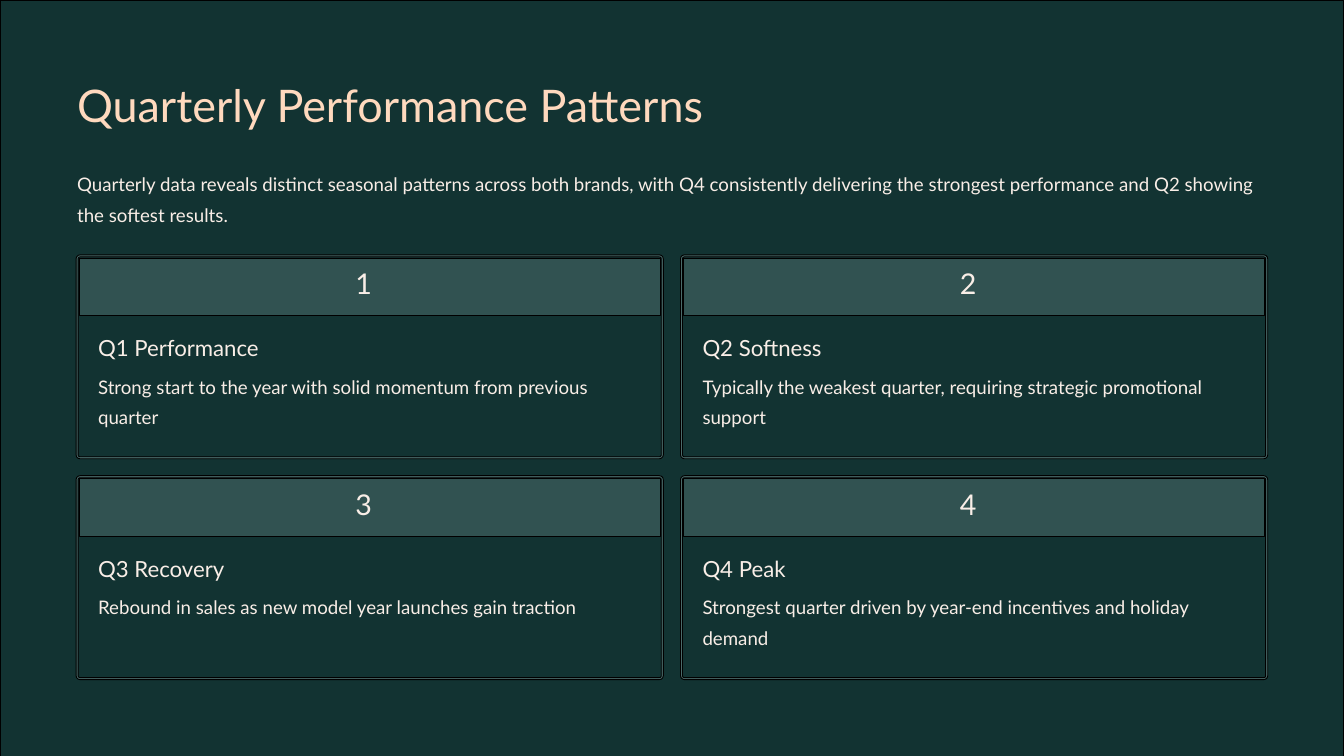
from pptx import Presentation
from pptx.dml.color import RGBColor
from pptx.enum import shapes, text
from pptx.util import Pt

BACKGROUND = RGBColor(0x12, 0x33, 0x32)
FRAME = RGBColor(0x4A, 0x6B, 0x6A)
HEADER = RGBColor(0x31, 0x52, 0x51)
OUTLINE = RGBColor(0x00, 0x00, 0x00)
PEACH = RGBColor(0xFF, 0xD9, 0xBE)
CREAM = RGBColor(0xF9, 0xEE, 0xE7)

SLIDE_W, SLIDE_H = 1440, 810
MARGIN = 82.6
CARD_W, CARD_H = 627, 216.3
COLUMN_STEP, ROW_STEP = 647.6, 236.6
CARDS_TOP = 274.2
FRAME_HALF = 1.1  # the frame straddles the card edge

QUARTERS = [
    ("Q1 Performance", "Strong start to the year with solid momentum from previous quarter"),
    ("Q2 Softness", "Typically the weakest quarter, requiring strategic promotional support"),
    ("Q3 Recovery", "Rebound in sales as new model year launches gain traction"),
    ("Q4 Peak", "Strongest quarter driven by year-end incentives and holiday demand"),
]


def add_panel(slide, left, top, width, height, fill, radius=0):
    kind = shapes.MSO_SHAPE.ROUNDED_RECTANGLE if radius else shapes.MSO_SHAPE.RECTANGLE
    panel = slide.shapes.add_shape(kind, Pt(left), Pt(top), Pt(width), Pt(height))
    if radius:
        panel.adjustments[0] = radius / min(width, height)
    panel.shadow.inherit = False
    panel.fill.solid()
    panel.fill.fore_color.rgb = fill
    panel.line.color.rgb = OUTLINE
    panel.line.width = Pt(1)


def add_text(slide, left, top, width, height, words, size, leading, color=CREAM):
    box = slide.shapes.add_textbox(Pt(left), Pt(top), Pt(width), Pt(height))
    frame = box.text_frame
    frame.word_wrap = True
    frame.auto_size = text.MSO_AUTO_SIZE.NONE
    frame.margin_left = frame.margin_right = frame.margin_top = frame.margin_bottom = 0
    paragraph = frame.paragraphs[0]
    paragraph.line_spacing = Pt(leading)
    run = paragraph.add_run()
    run.text = words
    run.font.name = "Lato"
    run.font.size = Pt(size)
    run.font.color.rgb = color


def add_heading(slide, left, top, width):
    add_text(slide, left, top, 692, 63.4, "Quarterly Performance Patterns", 48.1, 60.6, PEACH)
    add_text(slide, left, top + 97.2, width, 73.4,
             "Quarterly data reveals distinct seasonal patterns across both brands, "
             "with Q4 consistently delivering the strongest performance and Q2 showing "
             "the softest results.", 20, 32.5)


def add_quarter_card(slide, left, top, width, height, number, title, summary):
    for inset, fill, radius in ((-FRAME_HALF, FRAME, 4.2), (FRAME_HALF, BACKGROUND, 2)):
        add_panel(slide, left + inset, top + inset, width - 2 * inset, height - 2 * inset,
                  fill, radius)
    header_inset = 2 * FRAME_HALF
    add_panel(slide, left + header_inset, top + header_inset, width - 2 * header_inset, 61.6, HEADER)
    add_text(slide, left + 298.2, top + 16.7, 31, 36, str(number), 30.6, 30.6)
    add_text(slide, left + 22.5, top + 82.9, 242.6, 31.7, title, 23.8, 30)
    add_text(slide, left + 22.5, top + 119.6, width - 45, 73.4, summary, 20, 32.5)


def main():
    deck = Presentation()
    deck.slide_width, deck.slide_height = Pt(SLIDE_W), Pt(SLIDE_H)
    slide = deck.slides.add_slide(deck.slide_layouts[6])
    add_panel(slide, 0, 0, SLIDE_W, SLIDE_H, BACKGROUND)
    add_heading(slide, MARGIN, 79.9, SLIDE_W - 2 * MARGIN)
    for index, (title, summary) in enumerate(QUARTERS):
        row, column = divmod(index, 2)
        add_quarter_card(slide, MARGIN + column * COLUMN_STEP, CARDS_TOP + row * ROW_STEP,
                         CARD_W, CARD_H, index + 1, title, summary)
    deck.save("out.pptx")


if __name__ == "__main__":
    main()
